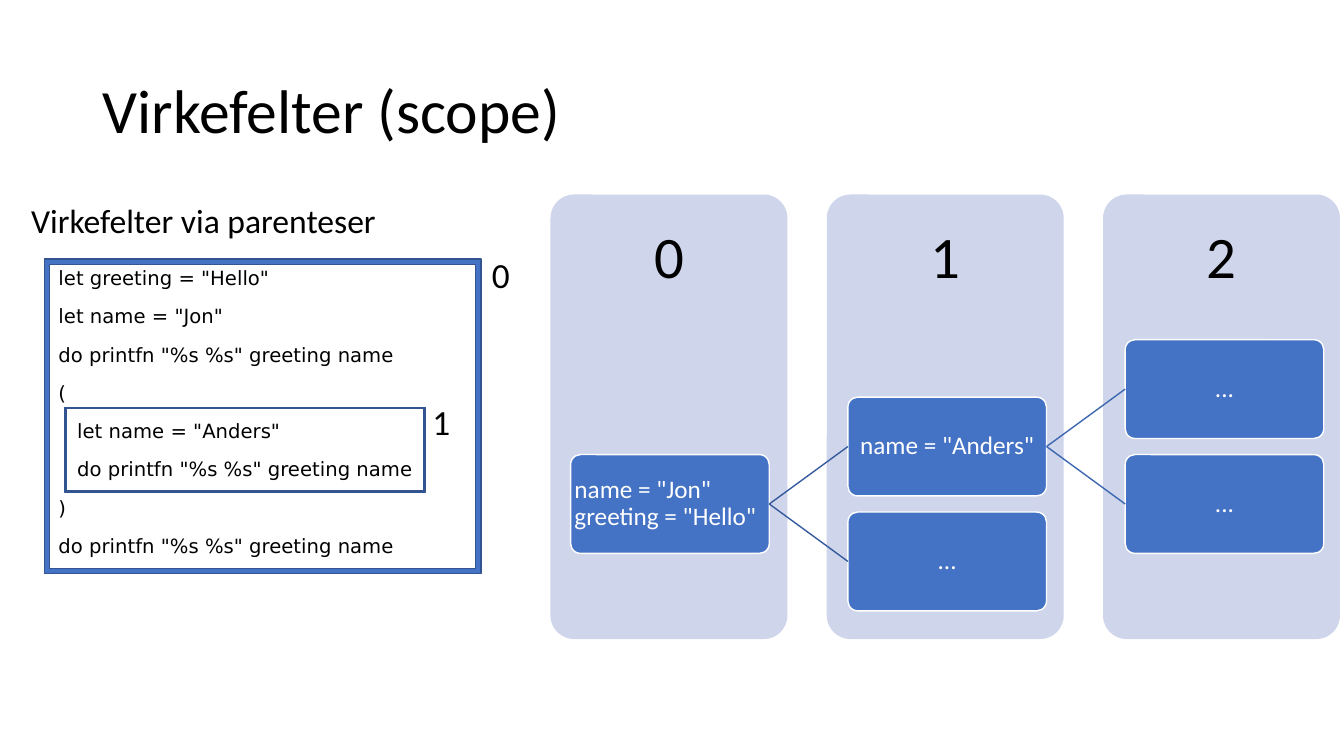
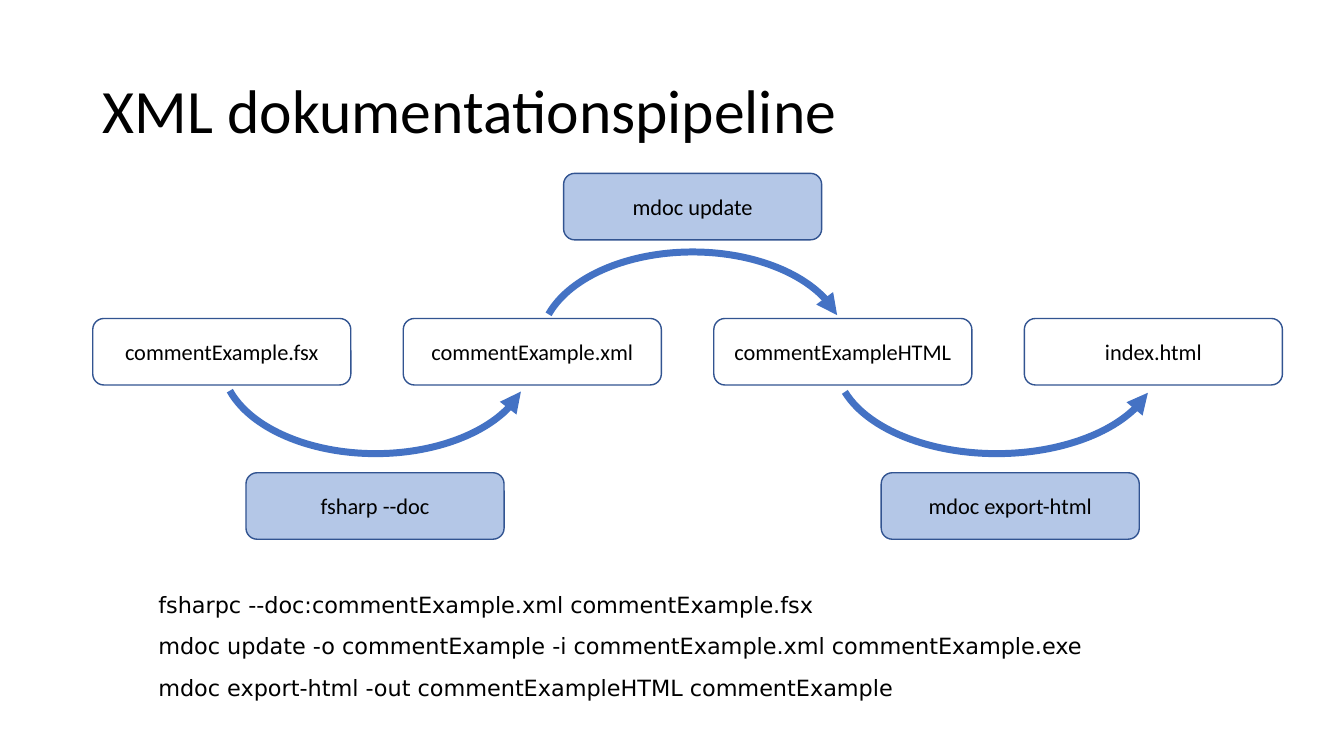
from dataclasses import dataclass
from typing import Optional

from lxml.etree import SubElement
from pptx import Presentation
from pptx.dml.color import RGBColor
from pptx.enum.shapes import MSO_CONNECTOR, MSO_SHAPE
from pptx.enum.text import MSO_ANCHOR, MSO_AUTO_SIZE, PP_ALIGN
from pptx.oxml.ns import qn
from pptx.util import Inches, Pt

# Shared look
BLUE, EDGE, PALE, PANEL = "4472C4", "325491", "B4C7E7", "CFD5EA"
BLACK, WHITE = "000000", "FFFFFF"
SANS, CODE = "Calibri", "DejaVu Sans"
LEFT, CENTER = PP_ALIGN.LEFT, PP_ALIGN.CENTER
MARGINS = ("margin_left", "margin_top", "margin_right", "margin_bottom")


@dataclass
class Scope:
    """A box in the scope tree, by column and row."""
    col: int
    row: int
    lines: list[str]
    align: PP_ALIGN = CENTER
    parent: Optional[int] = None


@dataclass
class Step:
    """A labelled box in the pipeline."""
    x: float
    y: float
    label: str
    fill: Optional[str] = None


@dataclass
class Arc:
    """A curved arrow; the lower ones are turned upside down."""
    x: float
    y: float
    w: float
    below: bool


def rgb(color: str) -> RGBColor:
    return RGBColor.from_string(color)


def place(sp, x: float, y: float, w: float, h: float) -> None:
    sp.left, sp.top, sp.width, sp.height = map(Inches, (x, y, w, h))


def write(tf, lines: list[str], size: float, color: str = BLACK, name: str = SANS,
          align: PP_ALIGN = LEFT, spacing: float = 1.0, gap: float = 0,
          plain: bool = False) -> None:
    """Fill a text frame with one paragraph a line; plain removes bullets."""
    for i, line in enumerate(lines):
        p = tf.paragraphs[0] if i == 0 else tf.add_paragraph()
        if plain:
            pPr = p._p.get_or_add_pPr()
            pPr.set("marL", "0")
            pPr.set("indent", "0")
            SubElement(pPr, qn("a:buNone"))
        paragraph_format = {"alignment": align, "line_spacing": spacing,
                            "space_before": Pt(gap if i else 0), "space_after": Pt(0)}
        for key, value in paragraph_format.items():
            setattr(p, key, value)
        r = p.add_run()
        r.text = line
        for key, value in {"name": name, "size": Pt(size), "bold": False}.items():
            setattr(r.font, key, value)
        r.font.color.rgb = rgb(color)


def add_slide(prs, title: str, code: list[str], code_at: tuple, code_size: float):
    """Slide with a title and a block of code in the body placeholder."""
    s = prs.slides.add_slide(prs.slide_layouts[1])
    head, body = s.shapes.title, s.placeholders[1]
    place(head, 0.92, 0.4, 11.5, 1.45)
    place(body, *code_at)
    for sp, anchor in ((head, MSO_ANCHOR.MIDDLE), (body, MSO_ANCHOR.TOP)):
        frame_format = {"vertical_anchor": anchor, "word_wrap": True,
                        "auto_size": MSO_AUTO_SIZE.NONE}
        for key, value in frame_format.items():
            setattr(sp.text_frame, key, value)
    write(head.text_frame, [title], 44, spacing=0.9)
    write(body.text_frame, code, code_size, name=CODE, gap=10.5, plain=True)
    return s


def add_shape(s, kind: MSO_SHAPE, x: float, y: float, w: float, h: float,
              fill: Optional[str] = None, line: Optional[str] = None,
              width: float = 1, adj: tuple = ()):
    sp = s.shapes.add_shape(kind, *map(Inches, (x, y, w, h)))
    sp.shadow.inherit = False
    for i, value in enumerate(adj):
        sp.adjustments[i] = value
    if fill:
        sp.fill.solid()
        sp.fill.fore_color.rgb = rgb(fill)
    else:
        sp.fill.background()
    if line:
        sp.line.color.rgb = rgb(line)
        sp.line.width = Pt(width)
    else:
        sp.line.fill.background()
    return sp


def add_label(s, text: str, x: float, y: float, w: float, h: float, size: float) -> None:
    tf = s.shapes.add_textbox(*map(Inches, (x, y, w, h))).text_frame
    tf.word_wrap = False
    write(tf, [text], size)


def add_link(s, parent, child, color: str) -> None:
    """Line from the right side of one box to the left side of another."""
    c = s.shapes.add_connector(MSO_CONNECTOR.STRAIGHT, 0, 0, 0, 0)
    c.begin_connect(parent, 3)
    c.end_connect(child, 1)
    c.line.color.rgb = rgb(color)
    c.line.width = Pt(1)
    SubElement(c.element.spPr, qn("a:effectLst"))


def add_arc(s, arc: Arc) -> None:
    sp = add_shape(s, MSO_SHAPE.ARC, arc.x, arc.y, arc.w, 1.83, line=BLUE, width=5,
                   adj=(115.03, 209.18))
    sp.rotation = 180 if arc.below else 0
    end = "a:headEnd" if arc.below else "a:tailEnd"
    SubElement(sp.element.spPr.find(qn("a:ln")), qn(end)).set("type", "triangle")


def build_scope(prs) -> None:
    code = ['let greeting = "Hello"', 'let name = "Jon"',
            'do printfn "%s %s" greeting name', "(",
            '   let name = "Anders"', '   do printfn "%s %s" greeting name',
            ")", 'do printfn "%s %s" greeting name']
    s = add_slide(prs, "Virkefelter (scope)", code, (0.48, 2.59, 4.51, 3.1), 14)
    add_label(s, "Virkefelter via parenteser", 0.21, 1.93, 3.66, 0.5, 24)

    # Nested frames around the code, with their levels
    for at in ((0.44, 2.57, 4.33, 3.12), (0.64, 4.04, 3.58, 0.84)):
        add_shape(s, MSO_SHAPE.FRAME, *at, fill=BLUE, line=EDGE, adj=(0.017,))
    for level, (x, y) in enumerate(((4.78, 2.46), (4.19, 3.92))):
        add_label(s, str(level), x, y, 0.38, 0.53, 25.2)

    # One panel for each level
    for level in range(3):
        sp = add_shape(s, MSO_SHAPE.ROUNDED_RECTANGLE, 5.46 + 2.74 * level, 1.93,
                       2.35, 4.41, fill=PANEL, adj=(0.1,))
        sp.text_frame.vertical_anchor = MSO_ANCHOR.TOP
        sp.text_frame.margin_top = Inches(0.26)
        write(sp.text_frame, [str(level)], 42, align=CENTER, spacing=0.9)

    # Tree of scopes
    scopes = [Scope(0, 2, ['name = "Jon"', 'greeting = "Hello"'], LEFT),
              Scope(1, 1, ['name = "Anders"'], parent=0),
              Scope(1, 3, ["..."], parent=0),
              Scope(2, 0, ["..."], parent=1),
              Scope(2, 2, ["..."], parent=1)]
    link_colors = {1: "365B9D", 2: "3E67B2"}
    boxes = []
    for scope in scopes:
        sp = add_shape(s, MSO_SHAPE.ROUNDED_RECTANGLE, 5.66 + 2.75 * scope.col,
                       3.37 + 0.57 * scope.row, 1.97, 0.98, fill=BLUE, line=WHITE,
                       adj=(0.1,))
        tf = sp.text_frame
        tf.word_wrap = True
        tf.vertical_anchor = MSO_ANCHOR.MIDDLE
        for margin in MARGINS:
            setattr(tf, margin, Inches(0.01))
        write(tf, scope.lines, 18, WHITE, align=scope.align, spacing=0.9)
        boxes.append(sp)
        if scope.parent is not None:
            add_link(s, boxes[scope.parent], sp, link_colors[scope.col])


def build_pipeline(prs) -> None:
    commands = ["fsharpc --doc:commentExample.xml commentExample.fsx",
                "mdoc update -o commentExample -i commentExample.xml commentExample.exe",
                "mdoc export-html -out commentExampleHTML commentExample"]
    s = add_slide(prs, "XML dokumentationspipeline", commands,
                  (1.47, 5.81, 10.17, 1.39), 16)

    # Files in a row, tools above and below
    files = ["commentExample.fsx", "commentExample.xml", "commentExampleHTML", "index.html"]
    steps = [Step(0.92 + 3.08 * i, 3.16, name) for i, name in enumerate(files)]
    steps += [Step(2.44, 4.69, "fsharp --doc", PALE),
              Step(5.59, 1.72, "mdoc update", PALE),
              Step(8.74, 4.69, "mdoc export-html", PALE)]
    for step in steps:
        sp = add_shape(s, MSO_SHAPE.ROUNDED_RECTANGLE, step.x, step.y, 2.56, 0.66,
                       fill=step.fill, line=EDGE)
        sp.text_frame.vertical_anchor = MSO_ANCHOR.MIDDLE
        write(sp.text_frame, [step.label], 16, align=CENTER)

    # Arrows from file to file
    for arc in (Arc(2.2, 2.67, 3.05, True), Arc(5.36, 2.5, 3.02, False),
                Arc(8.29, 2.67, 3.19, True)):
        add_arc(s, arc)


def main() -> None:
    prs = Presentation()
    prs.slide_width, prs.slide_height = Inches(13.33), Inches(7.5)
    build_scope(prs)
    build_pipeline(prs)
    prs.save("out.pptx")


if __name__ == "__main__":
    main()
